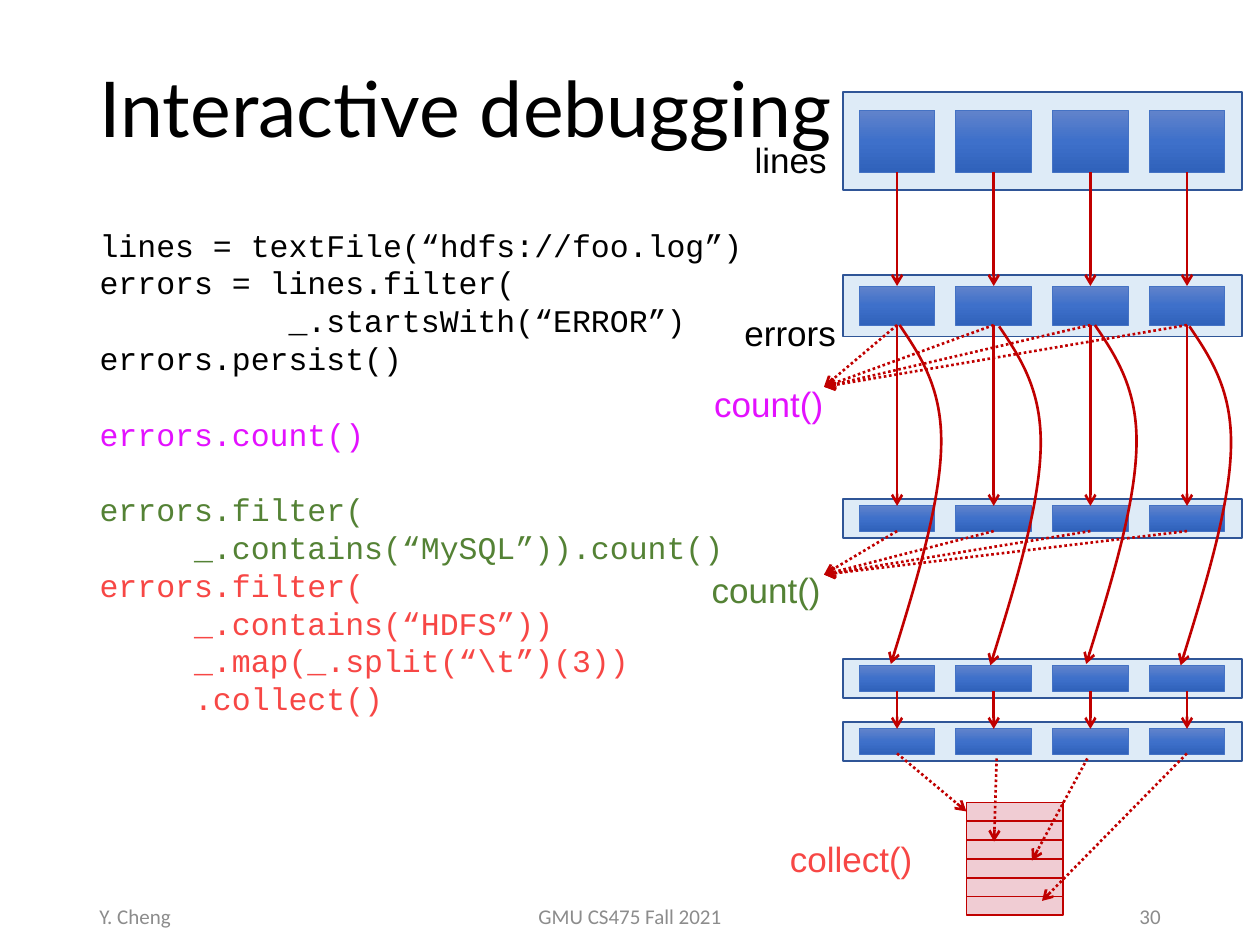
"""Build the interactive debugging slide: code on the left, partition flow on the right."""
from copy import deepcopy
from pptx import Presentation
from pptx import util as u
from pptx.dml.color import RGBColor
from pptx.enum import dml, shapes, text
from pptx.oxml import parse_xml
from pptx.oxml.ns import nsdecls, qn

THEME = {
    "title_font": "Lato", "code_font": "Courier New", "label_font": "Arial", "foot_font": "Calibri",
    "title_pt": 44, "code_pt": 18, "label_pt": 20, "foot_pt": 12,
    "black": "000000", "grey": "8C8C8C", "count": "E311FF", "mysql": "548235", "collect": "F74745",
    "panel": "DEEBF7", "panel_line": "2F5597", "cell_line": "4472C4",
    "cell": ("6183CB", "3E70CA", "3062BB"), "arrow": "C00000", "result": "F0CCD3",
}
TITLE = "Interactive debugging"
CODE = [
    ("black", ["lines = textFile(“hdfs://foo.log”)", "errors = lines.filter(",
               "\t\t_.startsWith(“ERROR”)", "errors.persist()"]),
    ("count", ["errors.count()"]),
    ("mysql", ["errors.filter(", "\t_.contains(“MySQL”)).count()"]),
    ("collect", ["errors.filter(", "\t_.contains(“HDFS”))", "\t_.map(_.split(“\\t”)(3))",
                 "\t.collect()"]),
]
GAP_BEFORE = ("count", "mysql")
LINE_PT = 21.6
FOOTERS = [("Y. Cheng", 0.69, 2.25, "LEFT"), ("GMU CS475 Fall 2021", 3.31, 3.38, "CENTER"),
           ("30", 7.06, 2.25, "RIGHT")]
LABELS = [("lines", 5.89, 1.05, 0.78, "black"), ("errors", 5.81, 2.42, 0.93, "black"),
          ("count()", 5.57, 2.99, 1.07, "count"), ("count()", 5.55, 4.46, 1.07, "mysql"),
          ("collect()", 6.17, 6.6, 1.18, "collect")]
PANELS = {"lines": (0.73, 0.78, 0.49), "errors": (2.18, 0.49, 0.31), "mysql": (3.96, 0.31, 0.2),
          "hdfs": (5.23, 0.31, 0.2), "mapped": (5.73, 0.31, 0.2)}
PANEL_X, PANEL_W, CELL_X, CELL_W, CELL_STEP = 6.69, 3.17, 6.82, 0.6, 0.767
FLOWS = [("lines", "errors"), ("errors", "mysql"), ("hdfs", "mapped")]
COUNTS = [("errors", (6.54, 3.07)), ("mysql", (6.54, 4.56))]
COLLECTS = [((7.12, 5.98), (7.67, 6.44)), ((7.91, 6.02), (7.89, 6.68)),
            ((8.63, 6.02), (8.19, 6.83)), ((9.42, 5.98), (8.27, 7.15))]
CURVE = [(0.07, 0), (0.24, 0.25), (0.41, 0.51), (0.4, 0.96), (0.39, 1.41), (0.2, 2.05), (0, 2.69)]
CURVE_STARTS = [(7.07, 2.58), (7.86, 2.59), (8.62, 2.58), (9.37, 2.59)]
RESULT_X, RESULT_Y, RESULT_W, RESULT_H, RESULT_ROWS = 7.67, 6.37, 0.77, 0.149, 6

CENTERS = [CELL_X + CELL_W / 2 + CELL_STEP * i for i in range(4)]


def color(name):
    return RGBColor.from_string(THEME.get(name, name))


def add_run(p, words, kind, name):
    r = p.add_run()
    r.text = words
    r.font.name, r.font.size = THEME[kind + "_font"], u.Pt(THEME[kind + "_pt"])
    r.font.color.rgb = color(name)


def place(sp, *box):
    sp.left, sp.top, sp.width, sp.height = map(u.Inches, box)


def add_box(s, box, line, width):
    sp = s.shapes.add_shape(shapes.MSO_SHAPE.RECTANGLE, *map(u.Inches, box))
    sp.shadow.inherit = False
    sp.line.color.rgb, sp.line.width = color(line), u.Pt(width)
    return sp


def add_solid(s, box, fill, line):
    sp = add_box(s, box, line, 1)
    sp.fill.solid()
    sp.fill.fore_color.rgb = color(fill)


def add_cell(s, box):
    sp = add_box(s, box, "cell_line", 0.5)
    sp.fill.gradient()
    sp.fill.gradient_angle = 270
    stops = sp._element.spPr.find(".//" + qn("a:gsLst"))
    stops.insert(1, deepcopy(stops[0]))
    for i, (stop, tint) in enumerate(zip(sp.fill.gradient_stops, THEME["cell"])):
        stop.position, stop.color.rgb = i / 2, color(tint)


def style_arrow(sp, dotted=False):
    sp.line.color.rgb, sp.line.width = color("arrow"), u.Pt(1.5)
    if dotted:
        sp.line.dash_style = dml.MSO_LINE.ROUND_DOT
    sp.line._get_or_add_ln().append(parse_xml(f'<a:tailEnd {nsdecls("a")} type="arrow"/>'))


def add_arrow(s, start, end, dotted=False):
    sp = s.shapes.add_connector(shapes.MSO_CONNECTOR.STRAIGHT, *map(u.Inches, (*start, *end)))
    style_arrow(sp, dotted)
    sp._element.spPr.append(parse_xml(f'<a:effectLst {nsdecls("a")}/>'))


def add_curve(s, x, y):
    points = [(u.Inches(x + dx), u.Inches(y + dy)) for dx, dy in CURVE]
    builder = s.shapes.build_freeform(*points[0])
    builder.add_line_segments(points[1:], close=False)
    sp = builder.convert_to_shape()
    outline = sp._element.spPr.find(".//" + qn("a:path"))
    segments = outline.findall(qn("a:lnTo"))
    for i in range(0, len(segments), 3):
        bezier = parse_xml(f'<a:cubicBezTo {nsdecls("a")}/>')
        for segment in segments[i:i + 3]:
            bezier.append(segment[0])
            outline.remove(segment)
        outline.append(bezier)
    sp.fill.background()
    sp.shadow.inherit = False
    style_arrow(sp)


def fill_title(sp):
    place(sp, 0.69, 0.17, 8.62, 1.45)
    tf = sp.text_frame
    tf.auto_size, tf.vertical_anchor = text.MSO_AUTO_SIZE.NONE, text.MSO_ANCHOR.MIDDLE
    p = tf.paragraphs[0]
    p.alignment, p.line_spacing = text.PP_ALIGN.LEFT, 0.9
    add_run(p, TITLE, "title", "black")


def fill_code(sp):
    place(sp, 0.69, 1.72, 5.44, 5.24)
    tf = sp.text_frame
    tf.auto_size, tf.margin_top = text.MSO_AUTO_SIZE.NONE, u.Inches(0.07)
    lines = [(name, i, line) for name, block in CODE for i, line in enumerate(block)]
    for n, (name, i, line) in enumerate(lines):
        p = tf.add_paragraph() if n else tf.paragraphs[0]
        pPr = p._p.get_or_add_pPr()
        for key, value in (("marL", 0), ("indent", 0), ("defTabSz", u.Inches(0.75))):
            pPr.set(key, str(value))
        pPr.append(parse_xml(f'<a:buNone {nsdecls("a")}/>'))
        p.line_spacing = u.Pt(LINE_PT)
        p.space_before = u.Pt(LINE_PT if i == 0 and name in GAP_BEFORE else 0)
        add_run(p, line, "code", name)


def add_text(s, words, box, kind, name, align="LEFT"):
    tf = s.shapes.add_textbox(*map(u.Inches, box)).text_frame
    if kind == "label":
        tf.word_wrap, tf.auto_size = False, text.MSO_AUTO_SIZE.SHAPE_TO_FIT_TEXT
    else:
        tf.word_wrap, tf.vertical_anchor = True, text.MSO_ANCHOR.MIDDLE
    p = tf.paragraphs[0]
    p.alignment = text.PP_ALIGN[align]
    add_run(p, words, kind, name)


def main():
    prs = Presentation()
    prs.slide_width, prs.slide_height = u.Inches(10), u.Inches(7.5)
    s = prs.slides.add_slide(prs.slide_layouts[1])
    fill_title(s.shapes.title)
    fill_code(s.placeholders[1])
    for words, x, w, align in FOOTERS:
        add_text(s, words, (x, 7.07, w, 0.4), "foot", "grey", align)

    tops, bottoms = {}, {}
    for key, (y, h, cell_h) in PANELS.items():
        add_solid(s, (PANEL_X, y, PANEL_W, h), "panel", "panel_line")
        tops[key] = y + (h - cell_h) / 2
        bottoms[key] = tops[key] + cell_h
        for x in CENTERS:
            add_cell(s, (x - CELL_W / 2, tops[key], CELL_W, cell_h))
    for i in range(RESULT_ROWS):
        add_solid(s, (RESULT_X, RESULT_Y + RESULT_H * i, RESULT_W, RESULT_H), "result", "arrow")

    for words, x, y, w, name in LABELS:
        add_text(s, words, (x, y, w, 0.44), "label", name)
    for source, target in FLOWS:
        for x in CENTERS:
            add_arrow(s, (x, bottoms[source]), (x, tops[target]))
    for x, y in CURVE_STARTS:
        add_curve(s, x, y)
    for source, end in COUNTS:
        for x in CENTERS:
            add_arrow(s, (x, bottoms[source]), end, dotted=True)
    for start, end in COLLECTS:
        add_arrow(s, start, end, dotted=True)
    prs.save("out.pptx")


if __name__ == "__main__":
    main()
